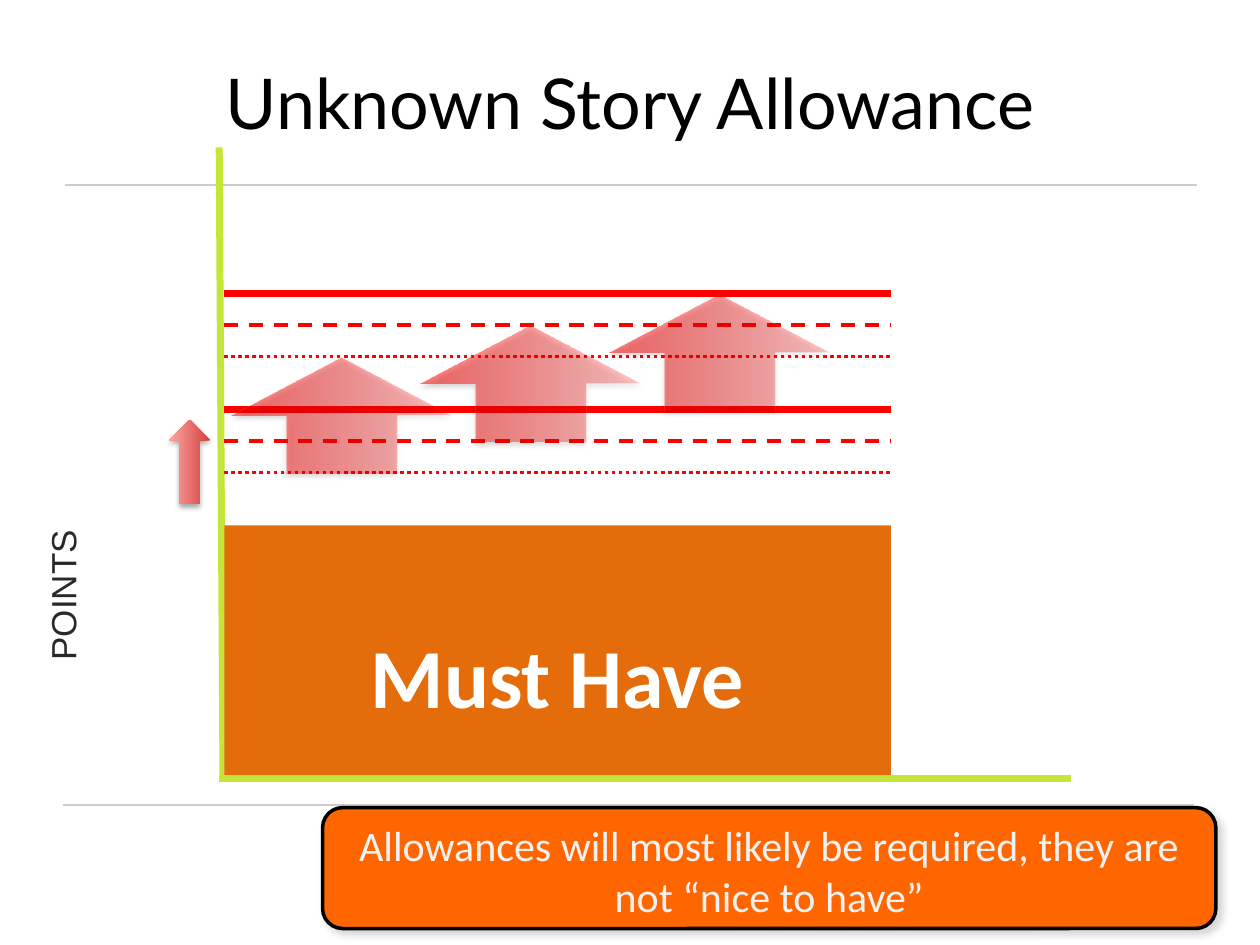
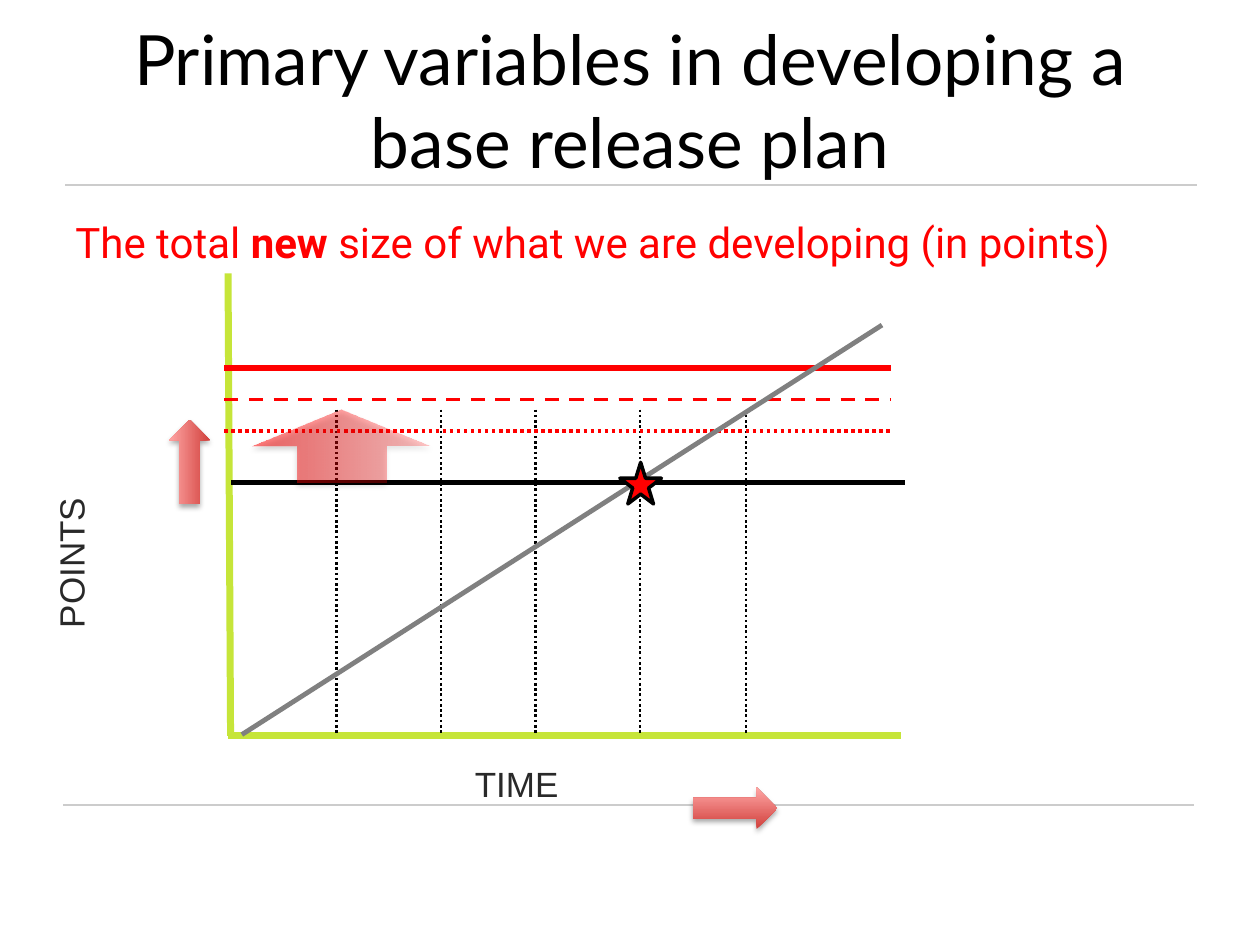
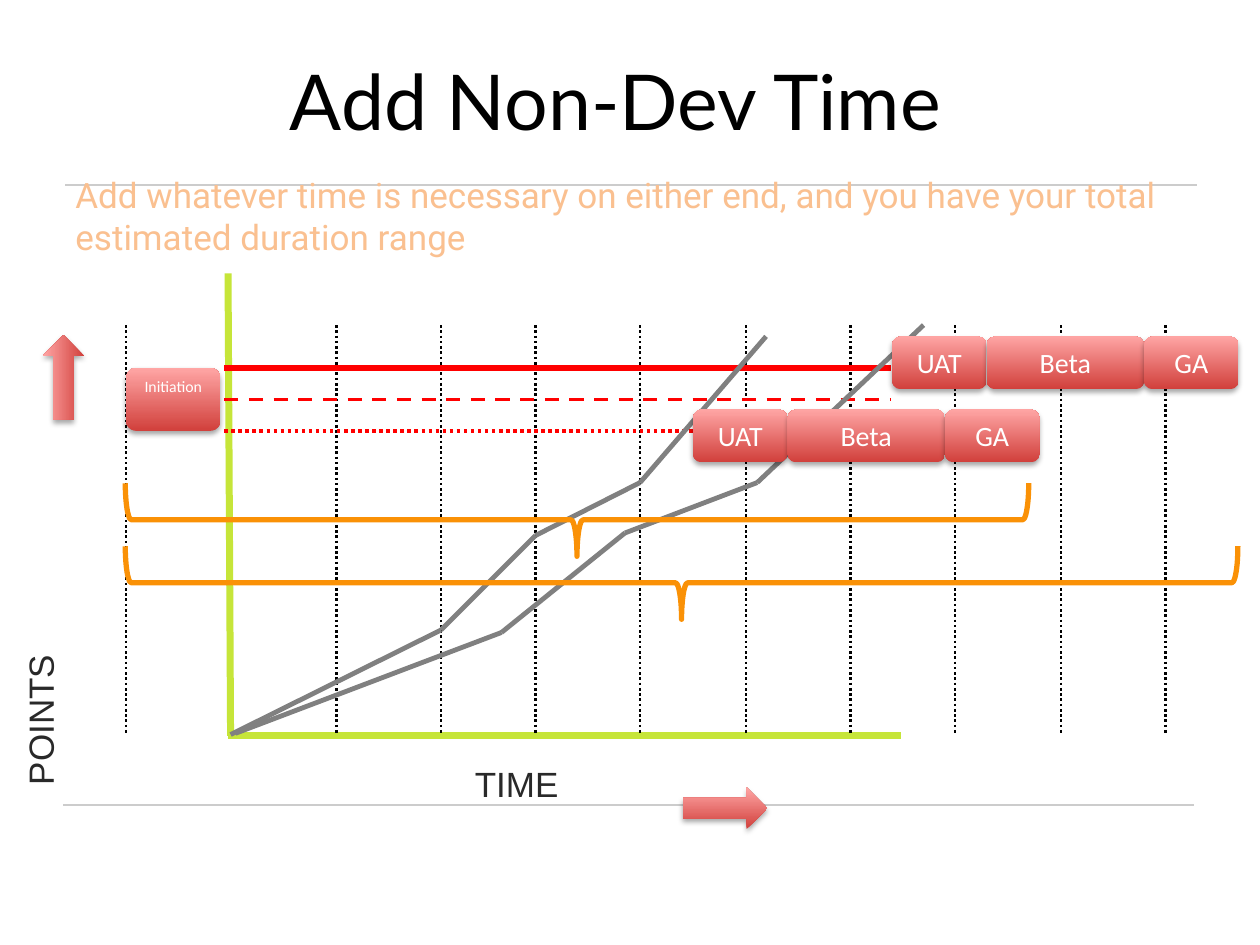
from itertools import pairwise

from pptx import Presentation
from pptx.dml.color import RGBColor
from pptx.enum.dml import MSO_LINE as Dash
from pptx.enum.shapes import MSO_CONNECTOR, MSO_SHAPE as Kind
from pptx.enum.text import MSO_ANCHOR as Anchor, MSO_AUTO_SIZE as Fit, PP_ALIGN as Align
from pptx.oxml import parse_xml
from pptx.oxml.ns import nsdecls, qn
from pptx.util import Inches, Pt

# Colours
BLACK = RGBColor(0x00, 0x00, 0x00)
WHITE = RGBColor(0xFF, 0xFF, 0xFF)
PALE = RGBColor(0xF2, 0xF2, 0xF2)
SILVER = RGBColor(0xCC, 0xCC, 0xCC)
GREY = RGBColor(0x80, 0x80, 0x80)
INK = RGBColor(0x29, 0x29, 0x29)
LIME = RGBColor(0xC6, 0xE5, 0x39)
RED = RGBColor(0xFF, 0x00, 0x00)
BRICK = RGBColor(0xD1, 0x40, 0x3C)
PINK = RGBColor(0xFF, 0xA6, 0xA5)
RUST = RGBColor(0xE4, 0x6C, 0x0A)
ORANGE = RGBColor(0xFF, 0x66, 0x00)
AMBER = RGBColor(0xFA, 0x91, 0x06)
PEACH = RGBColor(0xFA, 0xC0, 0x90)

# Shared formats
AXIS = {"name": "Arial", "size": Pt(20)}
STEP = {"name": "Calibri", "size": Pt(16)}
GLOSS = (BRICK, PINK)
GLASS = (RED, RED)
SOFT = ("000000", 35, 3.1, 1.8, 90)
LEVELS = [(0, 3.75, None), (0.25, 2, Dash.DASH), (0.5, 2, Dash.ROUND_DOT)]
TICKS = [2.67, 3.5, 4.25, 5.08, 5.92]


def line(slide, start, end, color, width, dash=None):
    ends = [Inches(v) for v in (*start, *end)]
    link = slide.shapes.add_connector(MSO_CONNECTOR.STRAIGHT, *ends)
    link.line.color.rgb = color
    link.line.width = Pt(width)
    if dash:
        link.line.dash_style = dash
    link._element.spPr.append(parse_xml(f"<a:effectLst {nsdecls('a')}/>"))


def box(slide, kind, at, fill=None, edge=None, shade=None, turn=0,
        runs=(), font=None, color=WHITE, align=Align.CENTER):
    """Add a preset shape, or a text box when kind is None."""
    at = [Inches(v) for v in at]
    if kind is None:
        shape = slide.shapes.add_textbox(*at)
    else:
        shape = slide.shapes.add_shape(kind, *at)
        shape.shadow.inherit = False
        # Fill: one colour, a pair for a gradient, or none
        if fill in (GLOSS, GLASS):
            shape.fill.gradient()
            shape.fill.gradient_angle = 90
            for stop, tint in zip(shape.fill.gradient_stops, fill):
                stop.color.rgb = tint
        elif fill:
            shape.fill.solid()
            shape.fill.fore_color.rgb = fill
        else:
            shape.fill.background()
        props = shape._element.spPr
        if fill == GLASS:
            for tint, part in zip(props.iter(qn("a:srgbClr")), (22, 53)):
                tint.append(parse_xml(f'<a:alpha {nsdecls("a")} val="{part * 1000}"/>'))
        if edge:
            shape.line.color.rgb, shape.line.width = edge[0], Pt(edge[1])
        else:
            shape.line.fill.background()
        if shade:
            tone, part, blur, dist, way = shade
            props.find(qn("a:effectLst")).append(parse_xml(
                f'<a:outerShdw {nsdecls("a")} blurRad="{Pt(blur)}" dist="{Pt(dist)}" '
                f'dir="{way * 60000}" rotWithShape="0"><a:srgbClr val="{tone}">'
                f'<a:alpha val="{part * 1000}"/></a:srgbClr></a:outerShdw>'))
    shape.rotation = turn
    if runs:
        frame = shape.text_frame
        frame.word_wrap = True
        frame.vertical_anchor = Anchor.TOP
        para = frame.paragraphs[0]
        para.alignment = align
        for text, bold in runs:
            run = para.add_run()
            run.text = text
            for key, value in {**font, "bold": bold}.items():
                setattr(run.font, key, value)
            run.font.color.rgb = color


deck = Presentation()
deck.slide_width, deck.slide_height = Inches(10), Inches(7.5)

# Titles and rules
TITLES = [
    ("Unknown Story Allowance", 40, (0.5, 0.3, 9, 1.01)),
    ("Primary variables in developing a base release plan", 39.6, (0.4, 0.33, 9.2, 0.92)),
    ("Add Non-Dev Time", 44, (0.17, 0.33, 9.43, 0.92)),
]
for text, size, at in TITLES:
    slide = deck.slides.add_slide(deck.slide_layouts[5])
    title = slide.shapes.title
    title.left, title.top, title.width, title.height = [Inches(v) for v in at]
    frame = title.text_frame
    frame.text = text
    frame.auto_size = Fit.NONE
    frame.vertical_anchor = Anchor.MIDDLE
    para = frame.paragraphs[0]
    para.alignment = Align.CENTER
    for key, value in {"name": "Lato", "size": Pt(size)}.items():
        setattr(para.font, key, value)
    para.font.color.rgb = BLACK
    line(slide, (0.5, 6.39), (9.48, 6.39), SILVER, 1)
    line(slide, (0.52, 1.47), (9.5, 1.47), SILVER, 1)

story, plan, extra = deck.slides

# Axes and the points label with its arrow
FRAMES = [
    (story, (1.74, 1.17), (1.77, 6.18), 8.5, (-0.47, 3.78, 2.31, 0.81), (1.17, 3.5)),
    (plan, (1.81, 2.17), (1.83, 5.84), 7.15, (-0.5, 3.43, 2.5, 0.81), (1.17, 3.5)),
    (extra, (1.81, 2.17), (1.83, 5.84), 7.15, (-0.66, 4.76, 2.33, 0.81), (0.17, 2.83)),
]
for slide, top, foot, right, label, tip in FRAMES:
    line(slide, top, foot, LIME, 4)
    line(slide, (right, foot[1]), (top[0], foot[1]), LIME, 4)
    box(slide, None, label, turn=270, runs=[("POINTS", False)],
        font=AXIS, color=INK, align=Align.LEFT)
    box(slide, Kind.RIGHT_ARROW, (*tip, 0.67, 0.33), GLOSS, shade=SOFT, turn=270)

# Time axis, sprint ticks and new size levels
line(plan, (7.18, 3.83), (1.83, 3.83), BLACK, 3)
for slide, ticks, top, left in [
    (plan, TICKS, 3.25, 5.5),
    (extra, [1, *TICKS, 6.75, 7.58, 8.42, 9.25], 2.58, 5.42),
]:
    for x in ticks:
        line(slide, (x, top), (x, 5.83), BLACK, 1.5, Dash.ROUND_DOT)
    box(slide, None, (3.67, 6, 1.75, 0.44), runs=[("TIME", False)],
        font=AXIS, color=INK, align=Align.LEFT)
    box(slide, Kind.RIGHT_ARROW, (left, 6.25, 0.67, 0.33), GLOSS, shade=SOFT)
for slide, y in [(story, 2.33), (story, 3.25), (plan, 2.92), (extra, 2.92)]:
    for drop, width, dash in LEVELS:
        line(slide, (1.78, y + drop), (7.07, y + drop), RED, width, dash)

# Slide 1: must-have block, growth arrows and callout
box(story, Kind.RECTANGLE, (1.78, 4.17, 5.29, 1.98), RUST)
box(story, None, (1.79, 4.91, 5.27, 0.91), runs=[("Must Have", True)],
    font={"name": "Calibri", "size": Pt(48)})
for i in range(3):
    box(story, Kind.RIGHT_ARROW, (2.25 + 1.5 * i, 2.42 - 0.25 * i, 0.92, 1.75),
        GLASS, shade=SOFT, turn=270)
box(story, Kind.ROUNDED_RECTANGLE, (2.56, 6.41, 7.09, 0.96), ORANGE, (BLACK, 2),
    ("A6A6A6", 43, 4, 3, 45), color=PALE, font={"name": "Calibri", "size": Pt(24)},
    runs=[("Allowances will most likely be required, they are not “nice to have”", False)])

# Slide 2: message, growth arrow, velocity and end point
box(plan, None, (0.5, 1.67, 8.58, 0.5), color=RED, align=Align.LEFT,
    font={"name": "Roboto", "size": Pt(24)},
    runs=[("The total ", False), ("new", True),
          (" size of what we are developing (in points)", False)])
box(plan, Kind.RIGHT_ARROW, (2.42, 2.83, 0.58, 1.42), GLASS, shade=SOFT, turn=270)
line(plan, (1.92, 5.83), (7, 2.58), GREY, 2.75)
box(plan, Kind.STAR_5_POINT, (4.92, 3.67, 0.33, 0.33), RED, (BLACK, 2))

# Slide 3: message and velocity range
box(extra, None, (0.5, 1.33, 9.25, 0.75), color=PEACH, align=Align.LEFT,
    font={"name": "Roboto", "size": Pt(20)},
    runs=[("Add whatever time is necessary on either end, "
           "and you have your total estimated duration range", False)])
FAST = [(1.83, 5.83), (3.5, 5), (4.25, 4.25), (5.08, 3.83), (6.08, 2.67)]
SLOW = [(1.87, 5.82), (3.98, 5.02), (4.96, 4.23), (6.01, 3.83), (7.33, 2.58)]
for pace in (FAST, SLOW):
    for start, end in pairwise(pace):
        line(extra, start, end, GREY, 2.75)

# Slide 3: non-dev steps and total durations
box(extra, Kind.ROUNDED_RECTANGLE, (1, 2.92, 0.75, 0.5), GLOSS, shade=SOFT,
    runs=[("Initiation", False)], font={"name": "Calibri", "size": Pt(9)})
for x, y in [(5.5, 3.25), (7.08, 2.67)]:
    for name, wide in [("UAT", 0.75), ("Beta", 1.25), ("GA", 0.75)]:
        box(extra, Kind.ROUNDED_RECTANGLE, (x, y, wide, 0.42), GLOSS, shade=SOFT,
            runs=[(name, False)], font=STEP)
        x += wide
for at in [(4.29, 0.54, 0.58, 7.17), (5.12, 0.21, 0.58, 8.83)]:
    box(extra, Kind.LEFT_BRACE, at, edge=(AMBER, 3), turn=270)

deck.save("out.pptx")
